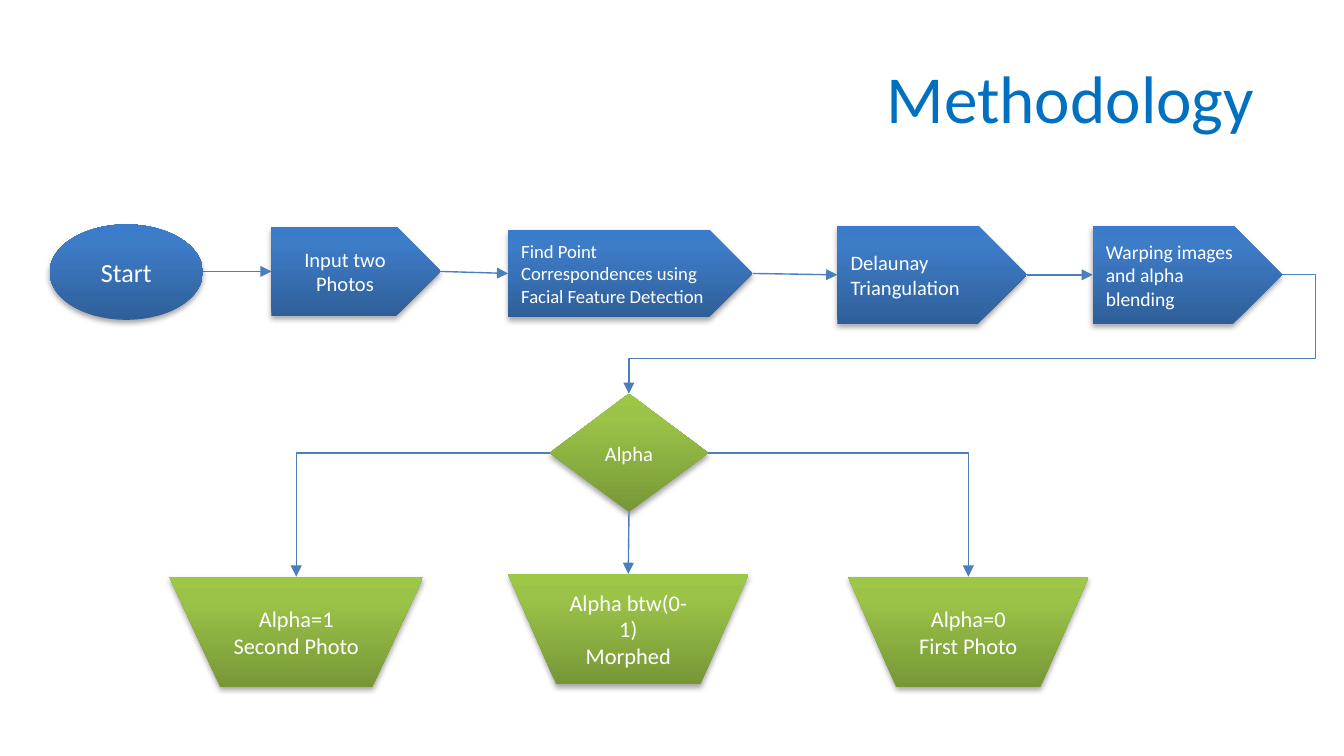
"""Build the Methodology flowchart slide."""
from copy import deepcopy

from lxml import etree
from pptx import Presentation
from pptx import util as u
from pptx.dml.color import RGBColor
from pptx.enum import shapes, text
from pptx.oxml import ns

TITLE_BLUE = RGBColor(0x00, 0x70, 0xC0)
LINE_BLUE = RGBColor(0x4B, 0x7E, 0xBC)
WHITE = RGBColor(0xFF, 0xFF, 0xFF)
BLACK = RGBColor(0x00, 0x00, 0x00)
BLUES = (RGBColor(0x2F, 0x5F, 0x99), RGBColor(0x3D, 0x7C, 0xC7), RGBColor(0x3A, 0x7C, 0xCB))
GREENS = (RGBColor(0x77, 0x97, 0x37), RGBColor(0x9B, 0xC3, 0x48), RGBColor(0x9D, 0xC7, 0x46))
STOPS = (0, 0.8, 1)

SLIDE_WIDTH = u.Inches(10)
SLIDE_HEIGHT = u.Inches(10 * 9 / 16)

SHAPE = shapes.MSO_SHAPE
CENTER, LEFT, RIGHT = text.PP_ALIGN.CENTER, text.PP_ALIGN.LEFT, text.PP_ALIGN.RIGHT
TOP_SIDE, LEFT_SIDE, BOTTOM_SIDE, RIGHT_SIDE = range(4)

NODES = {
    "start": (SHAPE.OVAL, (0.37, 1.67, 1.14, 0.71), BLUES, ["Start"], 14, CENTER),
    "input": (SHAPE.PENTAGON, (2.02, 1.69, 1.26, 0.66), BLUES, ["Input two Photos"], 11, CENTER),
    "points": (SHAPE.PENTAGON, (3.78, 1.71, 1.82, 0.65), BLUES,
               ["Find Point Correspondences using Facial Feature Detection"], 10, LEFT),
    "triangles": (SHAPE.PENTAGON, (6.23, 1.68, 1.41, 0.73), BLUES,
                  ["Delaunay Triangulation"], 11, LEFT),
    "warping": (SHAPE.PENTAGON, (8.13, 1.68, 1.41, 0.73), BLUES,
                ["Warping images and alpha blending"], 10.5, LEFT),
    "alpha": (SHAPE.FLOWCHART_DECISION, (4.09, 2.93, 1.18, 0.88), GREENS, ["Alpha "], 11, CENTER),
    "first": (SHAPE.FLOWCHART_MANUAL_OPERATION, (6.31, 4.29, 1.79, 0.82), GREENS,
              ["Alpha=0", "First Photo"], 12, CENTER),
    "second": (SHAPE.FLOWCHART_MANUAL_OPERATION, (1.26, 4.29, 1.89, 0.82), GREENS,
               ["Alpha=1", "Second Photo"], 12, CENTER),
    "morphed": (SHAPE.FLOWCHART_MANUAL_OPERATION, (3.78, 4.27, 1.79, 0.82), GREENS,
                ["Alpha btw(0-1)", "Morphed"], 12, CENTER),
}
STRAIGHT_LINKS = [
    ("input", RIGHT_SIDE, "points", LEFT_SIDE),
    ("points", RIGHT_SIDE, "triangles", LEFT_SIDE),
    ("triangles", RIGHT_SIDE, "warping", LEFT_SIDE),
    ("alpha", BOTTOM_SIDE, "morphed", TOP_SIDE),
]
BENT_LINKS = [
    ("warping", RIGHT_SIDE, "alpha", TOP_SIDE, "bentConnector4", (-5100, 70500)),
    ("alpha", LEFT_SIDE, "second", TOP_SIDE, "bentConnector2", ()),
    ("alpha", RIGHT_SIDE, "first", TOP_SIDE, "bentConnector2", ()),
]


def add_element(parent, tag, **attributes):
    """Append a DrawingML element and return it."""
    return etree.SubElement(parent, ns.qn(tag), attributes)


def set_text(shape, lines, size, color, alignment):
    """Write the lines as paragraphs in one format."""
    frame = shape.text_frame
    for name, value in {"word_wrap": True, "vertical_anchor": text.MSO_ANCHOR.MIDDLE}.items():
        setattr(frame, name, value)
    frame.text = "\n".join(lines)
    for paragraph in frame.paragraphs:
        paragraph.alignment = alignment
        font = paragraph.runs[0].font
        for name, value in {"name": "Calibri", "size": u.Pt(size)}.items():
            setattr(font, name, value)
        font.color.rgb = color


def set_gradient(shape, colors):
    """Fill the shape from dark at the bottom to light at the top."""
    shape.fill.gradient()
    shape.fill.gradient_angle = 90
    stop_list = shape._element.spPr.find(".//" + ns.qn("a:gsLst"))
    stop_list.append(deepcopy(stop_list[-1]))
    for stop, color, position in zip(shape.fill.gradient_stops, colors, STOPS):
        stop.color.rgb = color
        stop.position = position


def set_shadow(shape):
    """Give the shape a soft shadow straight below."""
    shape.shadow.inherit = False
    effects = shape._element.spPr.find(ns.qn("a:effectLst"))
    shadow = add_element(effects, "a:outerShdw", blurRad=str(u.Pt(3.1)), dist=str(u.Pt(1.8)),
                         dir="5400000", rotWithShape="0")
    color = add_element(shadow, "a:srgbClr", val=str(BLACK))
    add_element(color, "a:alpha", val="35000")


def add_title(slide, title):
    """Add the right-aligned slide title."""
    box = slide.shapes.add_textbox(*map(u.Inches, (0.58, 0.3, 8.85, 0.84)))
    set_text(box, [title], 36, TITLE_BLUE, RIGHT)


def add_node(slide, kind, place, colors, lines, size, alignment):
    """Add one flowchart step and return its shape."""
    shape = slide.shapes.add_shape(kind, *map(u.Inches, place))
    set_gradient(shape, colors)
    shape.line.fill.background()
    set_shadow(shape)
    set_text(shape, lines, size, WHITE, alignment)
    return shape


def add_arrow(slide, kind, start=(0, 0)):
    """Add a thin connector with an arrowhead at its end."""
    x, y = map(u.Inches, start)
    connector = slide.shapes.add_connector(kind, x, y, x, y)
    connector.line.color.rgb = LINE_BLUE
    connector.line.width = u.Pt(0.75)
    add_element(connector.line._get_or_add_ln(), "a:tailEnd", type="triangle")
    add_element(connector._element.spPr, "a:effectLst")
    return connector


def link(connector, source, source_side, target, target_side):
    """Join a connector to two steps."""
    connector.begin_connect(source, source_side)
    connector.end_connect(target, target_side)


def bend(connector, preset, adjustments):
    """Set the route of an elbow connector."""
    geometry = connector._element.spPr.find(ns.qn("a:prstGeom"))
    geometry.set("prst", preset)
    guides = geometry.find(ns.qn("a:avLst"))
    if guides is None:
        guides = add_element(geometry, "a:avLst")
    for number, value in enumerate(adjustments, 1):
        add_element(guides, "a:gd", name=f"adj{number}", fmla=f"val {value}")


def main():
    """Build and save the slide."""
    presentation = Presentation()
    presentation.slide_width, presentation.slide_height = SLIDE_WIDTH, SLIDE_HEIGHT
    slide = presentation.slides.add_slide(presentation.slide_layouts[6])
    add_title(slide, "Methodology")
    nodes = {name: add_node(slide, *node) for name, node in NODES.items()}
    first_arrow = add_arrow(slide, shapes.MSO_CONNECTOR.STRAIGHT, (1.51, 2.02))
    first_arrow.end_connect(nodes["input"], LEFT_SIDE)
    for source, source_side, target, target_side in STRAIGHT_LINKS:
        arrow = add_arrow(slide, shapes.MSO_CONNECTOR.STRAIGHT)
        link(arrow, nodes[source], source_side, nodes[target], target_side)
    for source, source_side, target, target_side, preset, adjustments in BENT_LINKS:
        arrow = add_arrow(slide, shapes.MSO_CONNECTOR.ELBOW)
        link(arrow, nodes[source], source_side, nodes[target], target_side)
        bend(arrow, preset, adjustments)
    presentation.save("out.pptx")


if __name__ == "__main__":
    main()
